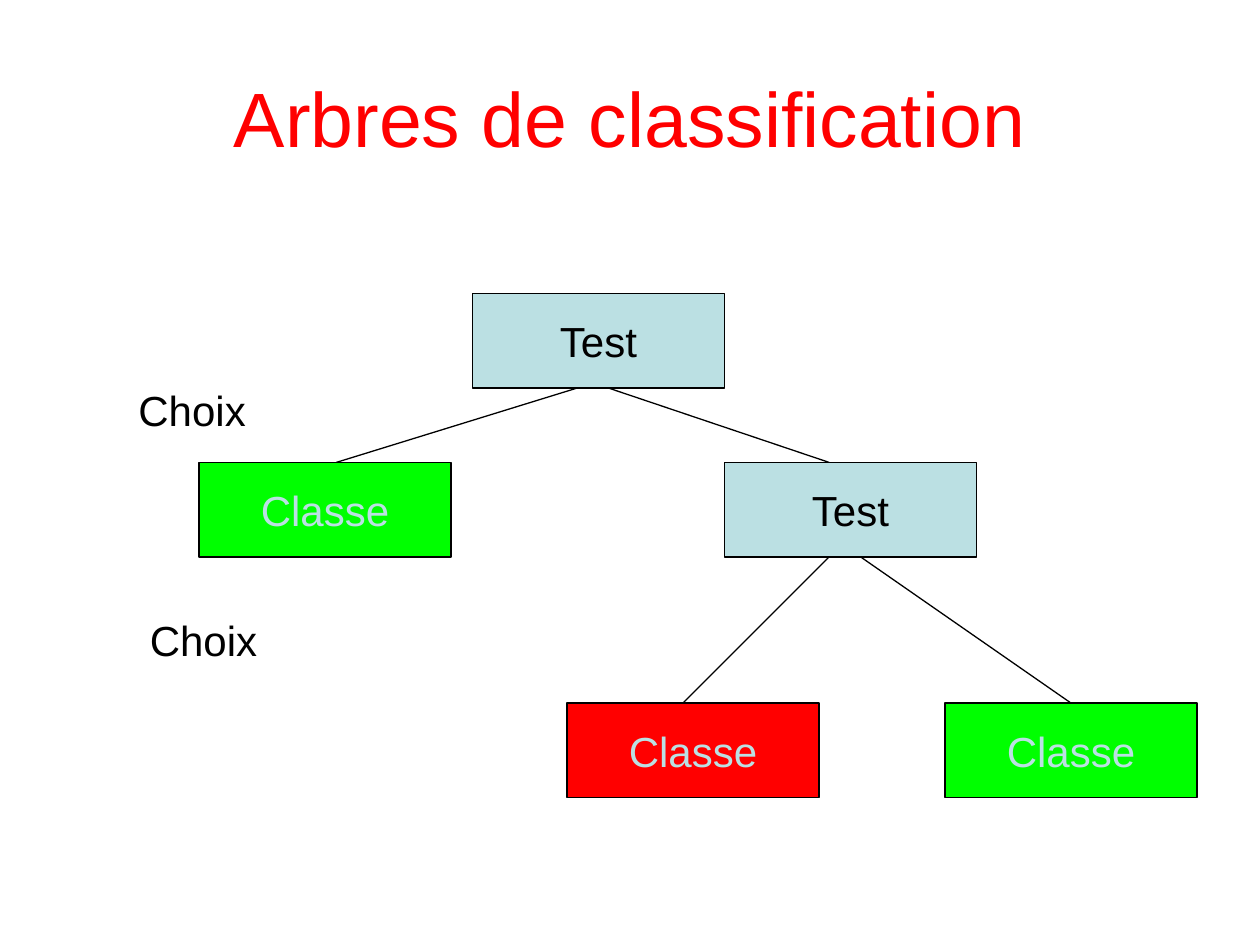
from dataclasses import dataclass

from lxml.etree import SubElement
from pptx import Presentation
from pptx.dml.color import RGBColor
from pptx.enum.shapes import MSO_CONNECTOR, MSO_SHAPE
from pptx.enum.text import MSO_ANCHOR, MSO_AUTO_SIZE, PP_ALIGN
from pptx.oxml.ns import qn
from pptx.shapes.autoshape import Shape
from pptx.slide import Slide
from pptx.text.text import TextFrame
from pptx.util import Inches, Pt


@dataclass(frozen=True)
class Theme:
    font: str = "Arial"
    title_size: int = 44
    body_size: int = 24
    line_width: float = 0.75
    black: str = "000000"
    red: str = "FF0000"
    green: str = "00FF00"
    pale_blue: str = "BBE0E3"


THEME = Theme()
NODE_WIDTH, NODE_HEIGHT = 2, 0.75
LEFT_BRANCH, RIGHT_BRANCH = -0.17, 0.08  # branch start, from the parent's centre


@dataclass(frozen=True)
class Node:
    text: str
    left: float
    top: float
    fill: str
    color: str

    @property
    def center(self) -> float:
        return self.left + NODE_WIDTH / 2

    @property
    def bottom(self) -> float:
        return self.top + NODE_HEIGHT


@dataclass(frozen=True)
class Branch:
    parent: Node
    child: Node
    start_offset: float
    end_offset: float = 0


@dataclass(frozen=True)
class Label:
    text: str
    left: float
    top: float


def test_node(left: float, top: float) -> Node:
    return Node("Test", left, top, THEME.pale_blue, THEME.black)


def class_node(left: float, top: float, fill: str) -> Node:
    return Node("Classe", left, top, fill, THEME.pale_blue)


ROOT = test_node(3.75, 2.33)
FIRST_CLASS = class_node(1.58, 3.67, THEME.green)
SECOND_TEST = test_node(5.75, 3.67)
RED_CLASS = class_node(4.5, 5.58, THEME.red)
LAST_CLASS = class_node(7.5, 5.58, THEME.green)
NODES = [ROOT, FIRST_CLASS, SECOND_TEST, RED_CLASS, LAST_CLASS]

BRANCHES = [
    Branch(ROOT, FIRST_CLASS, LEFT_BRANCH, 0.09),
    Branch(ROOT, SECOND_TEST, RIGHT_BRANCH, -0.17),
    Branch(SECOND_TEST, RED_CLASS, LEFT_BRANCH, -0.08),
    Branch(SECOND_TEST, LAST_CLASS, RIGHT_BRANCH),
]
LABELS = [Label("Choix", 1, 3), Label("Choix", 1.09, 4.83)]


def write_text(frame: TextFrame, text: str, *, size: int = THEME.body_size,
               color: str = THEME.black, align: PP_ALIGN = PP_ALIGN.CENTER,
               anchor: MSO_ANCHOR = MSO_ANCHOR.MIDDLE, wrap: bool = False) -> None:
    frame.word_wrap = wrap
    frame.vertical_anchor = anchor
    paragraph = frame.paragraphs[0]
    paragraph.alignment = align
    run = paragraph.add_run()
    run.text = text
    run.font.name = THEME.font
    run.font.size = Pt(size)
    run.font.color.rgb = RGBColor.from_string(color)


def add_title(slide: Slide, text: str) -> None:
    title = slide.shapes.title
    title.left, title.top = Inches(0.5), Inches(0.3)
    title.width, title.height = Inches(9), Inches(1.25)
    write_text(title.text_frame, text, size=THEME.title_size, color=THEME.red, wrap=True)


def add_node(slide: Slide, node: Node) -> Shape:
    shape = slide.shapes.add_shape(
        MSO_SHAPE.RECTANGLE, Inches(node.left), Inches(node.top),
        Inches(NODE_WIDTH), Inches(NODE_HEIGHT))
    shape.shadow.inherit = False
    shape.fill.solid()
    shape.fill.fore_color.rgb = RGBColor.from_string(node.fill)
    shape.line.color.rgb = RGBColor.from_string(THEME.black)
    shape.line.width = Pt(THEME.line_width)
    write_text(shape.text_frame, node.text, color=node.color)
    return shape


def add_branch(slide: Slide, branch: Branch, child_shape: Shape) -> None:
    """Draw a branch, joined to its child where it ends at the top centre."""
    parent, child = branch.parent, branch.child
    connector = slide.shapes.add_connector(
        MSO_CONNECTOR.STRAIGHT,
        Inches(parent.center + branch.start_offset), Inches(parent.bottom),
        Inches(child.center + branch.end_offset), Inches(child.top))
    if branch.end_offset == 0:
        connector.end_connect(child_shape, 0)
    connector.line.color.rgb = RGBColor.from_string(THEME.black)
    connector.line.width = Pt(THEME.line_width)
    SubElement(connector.element.spPr, qn("a:effectLst"))


def add_label(slide: Slide, label: Label) -> None:
    box = slide.shapes.add_textbox(
        Inches(label.left), Inches(label.top), Inches(1.05), Inches(0.5))
    write_text(box.text_frame, label.text, align=PP_ALIGN.LEFT, anchor=MSO_ANCHOR.TOP)
    box.text_frame.auto_size = MSO_AUTO_SIZE.SHAPE_TO_FIT_TEXT


def main() -> None:
    presentation = Presentation()
    presentation.slide_width, presentation.slide_height = Inches(10), Inches(7.5)
    slide = presentation.slides.add_slide(presentation.slide_layouts[5])
    add_title(slide, "Arbres de classification")
    node_shapes = {node: add_node(slide, node) for node in NODES}
    for branch in BRANCHES:
        add_branch(slide, branch, node_shapes[branch.child])
    for label in LABELS:
        add_label(slide, label)
    presentation.save("out.pptx")


if __name__ == "__main__":
    main()
